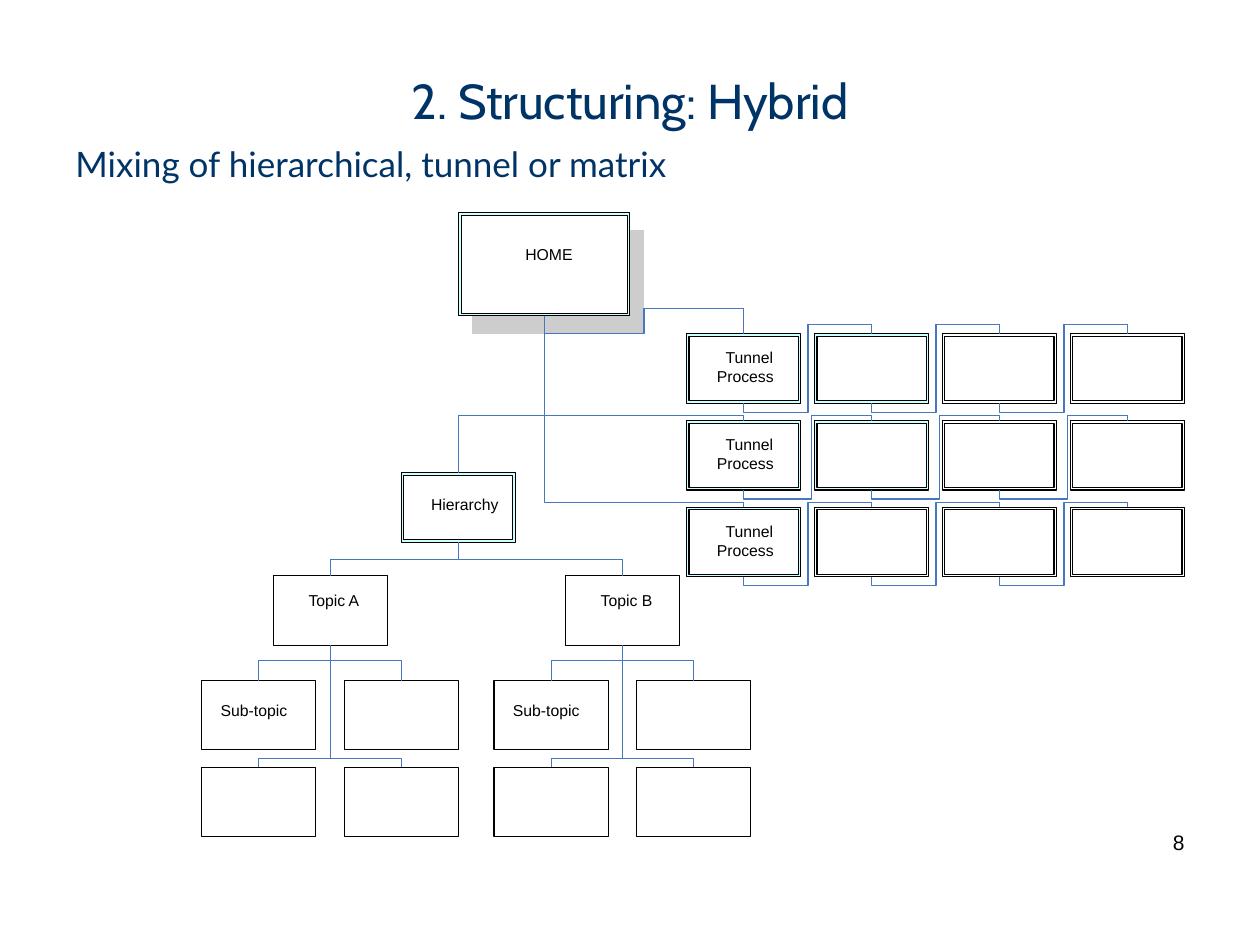
import pptx
import pptx.dml.color
import pptx.enum.shapes
import pptx.enum.text
import pptx.oxml
import pptx.oxml.ns
import pptx.util
from pptx.util import Cm

COLORS = {
    "navy": "003366",
    "black": "000000",
    "white": "FFFFFF",
    "cyan": "CCFFFF",
    "shadow": "CDCDCD",
    "connector": "4677BF",
}
LINE_WIDTH = pptx.util.Pt(0.62)
ALIGN = pptx.enum.text.PP_ALIGN

presentation = pptx.Presentation()
presentation.slide_width = Cm(25.4)
presentation.slide_height = Cm(19.05)
slide = presentation.slides.add_slide(presentation.slide_layouts[1])


def write_text(shape, text, size=9, font="Arial", color="black",
               align=ALIGN.LEFT, inset=(0, 0)):
    """Fill a shape or placeholder with one formatted paragraph."""
    frame = shape.text_frame
    frame.text = text
    frame.word_wrap = True
    frame.auto_size = pptx.enum.text.MSO_AUTO_SIZE.NONE
    frame.margin_left = frame.margin_right = Cm(inset[0])
    frame.margin_top = frame.margin_bottom = Cm(inset[1])
    paragraph = frame.paragraphs[0]
    paragraph.alignment = align
    paragraph.space_before = pptx.util.Pt(0)
    paragraph.font.size = pptx.util.Pt(size)
    paragraph.font.name = font
    paragraph.font.color.rgb = pptx.dml.color.RGBColor.from_string(COLORS[color])


def add_box(left, top, width, height, fill="white", line="black", double=False):
    """Draw a box; a double box gets a second white frame inside it."""
    box = slide.shapes.add_shape(pptx.enum.shapes.MSO_SHAPE.RECTANGLE,
                                 Cm(left), Cm(top), Cm(width), Cm(height))
    box.shadow.inherit = False
    box.fill.solid()
    box.fill.fore_color.rgb = pptx.dml.color.RGBColor.from_string(COLORS[fill])
    box.line.color.rgb = pptx.dml.color.RGBColor.from_string(COLORS[line])
    box.line.width = LINE_WIDTH
    if double:
        gap = 0.05
        add_box(left + gap, top + gap, width - 2 * gap, height - 2 * gap)


# Title and lead line
title = slide.shapes.title
title.left, title.top, title.width, title.height = Cm(1.27), Cm(1.27), Cm(22.86), Cm(1.5)
write_text(title, "2. Structuring: Hybrid", size=28, font="Cabin", color="navy",
           align=ALIGN.CENTER, inset=(0.25, 0.13))

body = slide.placeholders[1]
body.left, body.top, body.width, body.height = Cm(1.27), Cm(2.74), Cm(21.79), Cm(2.74)
body.text_frame.text = ""
write_text(body, "Mixing of hierarchical, tunnel or matrix", size=20, font="Lato",
           color="navy", inset=(0.25, 0.13))
properties = body.text_frame.paragraphs[0]._p.get_or_add_pPr()
properties.set("marL", "0")
properties.set("indent", "0")
no_bullet = pptx.oxml.parse_xml(f'<a:buNone {pptx.oxml.ns.nsdecls("a")}/>')
properties.find(pptx.oxml.ns.qn("a:spcBef")).addnext(no_bullet)

labels = []      # text, left, top
connectors = []  # corner points of each elbow line
box_width, box_height = 2.3, 1.4
half = box_width / 2

# Home page
home_left, home_top, home_width, home_height = 9.25, 4.29, 3.45, 2.08
home_x, home_bottom = home_left + home_width / 2, home_top + home_height
add_box(home_left + 0.28, home_top + 0.36, home_width, home_height, "shadow", "shadow")
add_box(home_left, home_top, home_width, home_height, "cyan", double=True)
labels.append(("HOME", 10.59, 4.93))

# Tunnels: cyan boxes, lead of the elbow above the box, bend after the box centre
tunnel_left, tunnel_top, column_step, row_step = 13.84, 6.73, 2.58, 1.75
tunnel_x = tunnel_left + half
tunnels = [(2, 0.18, 1.3), (2, 0.1, 1.37), (1, 0.1, 1.3)]
for row, (cyan_count, lead, bend) in enumerate(tunnels):
    top = tunnel_top + row * row_step
    bottom = top + box_height
    for column in range(4):
        fill = "cyan" if column < cyan_count else "white"
        add_box(tunnel_left + column * column_step, top, box_width, box_height,
                fill, double=True)
    for column in range(3):
        x = tunnel_x + column * column_step
        connectors.append([(x, bottom), (x, bottom + 0.18), (x + bend, bottom + 0.18),
                           (x + bend, top - lead), (x + column_step, top - lead),
                           (x + column_step, top)])
    labels += [("Tunnel", 14.63, top + 0.29), ("Process", 14.45, top + 0.67)]
    if row:
        connectors.append([(home_x, home_bottom), (home_x, top - lead),
                           (tunnel_x, top - lead), (tunnel_x, top)])
    else:
        middle = (home_x + tunnel_x) / 2
        connectors.append([(home_x, home_bottom), (home_x, top), (middle, top),
                           (middle, 6.22), (tunnel_x, 6.22), (tunnel_x, top)])

# Hierarchy
hierarchy_left, hierarchy_top = 8.09, 9.53
hierarchy_x, hierarchy_bottom = hierarchy_left + half, hierarchy_top + box_height
add_box(hierarchy_left, hierarchy_top, box_width, box_height, "cyan", double=True)
labels.append(("Hierarchy", 8.69, 9.98))
connectors.append([(home_x, home_bottom), (home_x, 8.38),
                   (hierarchy_x, 8.38), (hierarchy_x, hierarchy_top)])

topic_top, subtopic_offset = 11.61, 1.44
for name, left in [("Topic A", 5.51), ("Topic B", 11.4)]:
    add_box(left, topic_top, box_width, box_height)
    labels += [(name, left + 0.71, topic_top + 0.3),
               ("Sub-topic", left - 1.06, 14.12)]
    topic_x = left + half
    connectors.append([(hierarchy_x, hierarchy_bottom), (hierarchy_x, 11.28),
                       (topic_x, 11.28), (topic_x, topic_top)])
    for subtopic_top, elbow_y in [(13.72, 13.31), (15.47, 15.29)]:
        for offset in (-subtopic_offset, subtopic_offset):
            add_box(left + offset, subtopic_top, box_width, box_height)
            connectors.append([(topic_x, topic_top + box_height), (topic_x, elbow_y),
                               (topic_x + offset, elbow_y),
                               (topic_x + offset, subtopic_top)])

for points in connectors:
    corners = [(Cm(x), Cm(y)) for x, y in points]
    builder = slide.shapes.build_freeform(*corners[0])
    builder.add_line_segments(corners[1:], close=False)
    connector = builder.convert_to_shape()
    connector.shadow.inherit = False
    connector.fill.background()
    connector.line.color.rgb = pptx.dml.color.RGBColor.from_string(COLORS["connector"])
    connector.line.width = LINE_WIDTH

for text, left, top in labels:
    label = slide.shapes.add_textbox(Cm(left), Cm(top), Cm(1.7), Cm(0.38))
    write_text(label, text)

page_number = slide.shapes.add_textbox(Cm(18.21), Cm(16.59), Cm(5.92), Cm(1.02))
write_text(page_number, "8", size=12, align=ALIGN.RIGHT, inset=(0.25, 0.13))

presentation.save("out.pptx")
